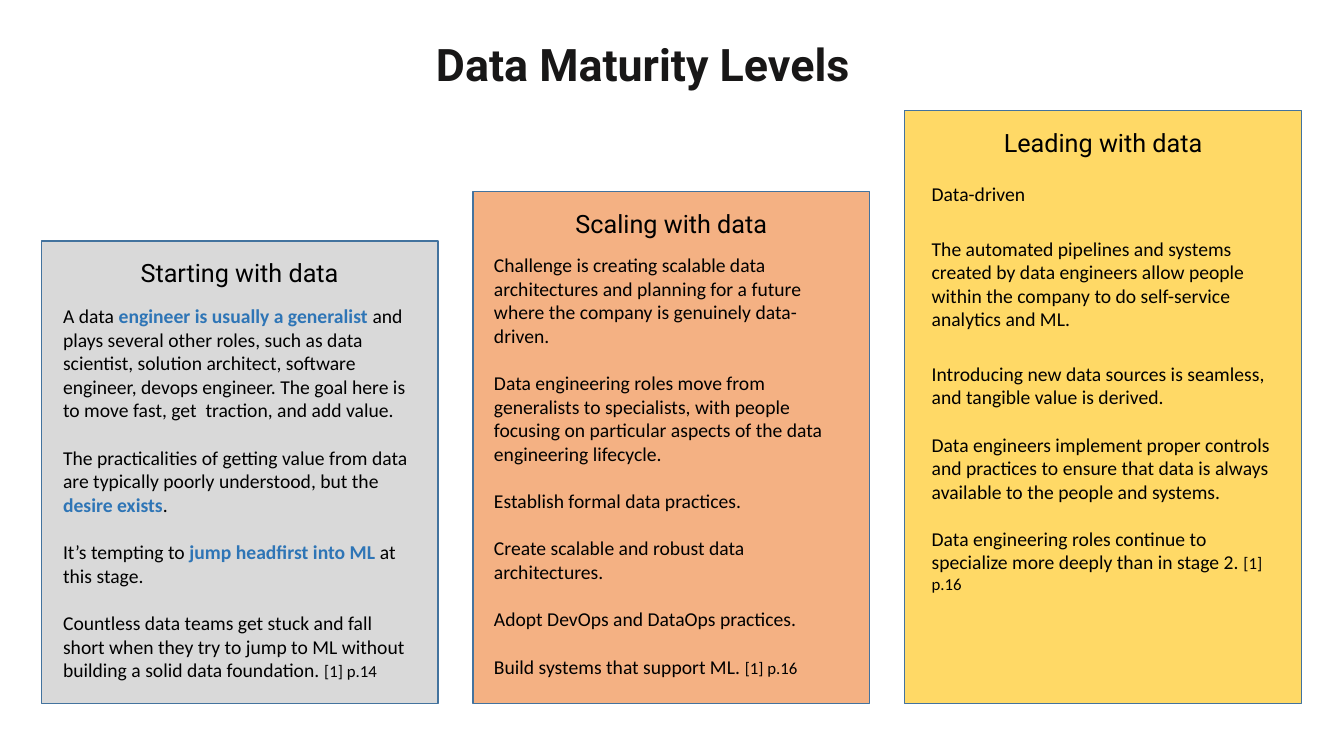
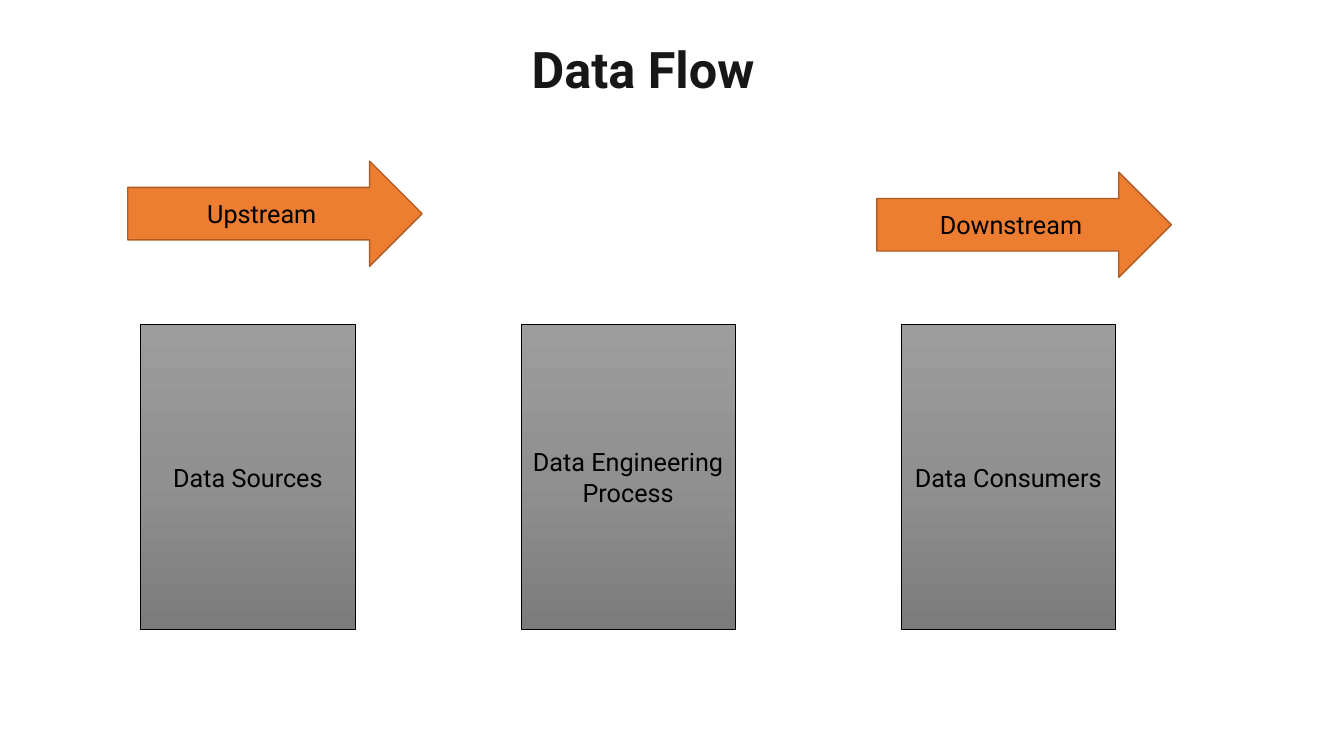
import copy

import pptx
import pptx.dml.color
import pptx.enum.shapes
import pptx.enum.text
import pptx.oxml.ns
import pptx.util

Cm = pptx.util.Cm
Pt = pptx.util.Pt
RGBColor = pptx.dml.color.RGBColor
Shape = pptx.enum.shapes.MSO_SHAPE
Anchor = pptx.enum.text.MSO_ANCHOR
Align = pptx.enum.text.PP_ALIGN

BLACK = RGBColor(0x00, 0x00, 0x00)
TITLE_INK = RGBColor(0x18, 0x17, 0x17)
HIGHLIGHT = RGBColor(0x2E, 0x75, 0xB6)
CARD_LINE = RGBColor(0x43, 0x73, 0x9E)
GREY = RGBColor(0xD9, 0xD9, 0xD9)
PEACH = RGBColor(0xF4, 0xB1, 0x83)
YELLOW = RGBColor(0xFF, 0xD9, 0x66)
ARROW_FILL = RGBColor(0xED, 0x7D, 0x31)
ARROW_LINE = RGBColor(0xAF, 0x5C, 0x24)
STAGE_GRADIENT = [
    (0, RGBColor(0x9D, 0x9D, 0x9D)),
    (0.5, RGBColor(0x90, 0x90, 0x90)),
    (1, RGBColor(0x7C, 0x7C, 0x7C)),
]
HEADING_FONT = "Roboto"
BODY_FONT = "Calibri"

# Kinds of body run: size, colour, bold
PLAIN = (14, BLACK, False)
STRONG = (14, HIGHLIGHT, True)
CITATION = (12, BLACK, False)

CARD_LEFT, CARD_STEP, CARD_WIDTH, CARD_BOTTOM = 1.04, 10.88, 10, 17.73
STAGE_LEFT, STAGE_STEP, STAGE_TOP = 3.55, 9.58, 8.18

# Each paragraph: space before in points, then its runs
STARTING = [
    (0, [("A data ", PLAIN), ("engineer is usually a generalist ", STRONG),
         ("and plays several other roles, such as data scientist, solution architect, "
          "software engineer, devops engineer. The goal here is to move fast, "
          "get  traction, and add value.", PLAIN)]),
    (17, [("The practicalities of getting value from data are typically poorly "
           "understood, but the ", PLAIN), ("desire exists", STRONG), (".", PLAIN)]),
    (17, [("It’s tempting to ", PLAIN), ("jump headfirst into ML ", STRONG),
          ("at this stage.", PLAIN)]),
    (17, [("Countless data teams get stuck and fall short when they try to jump to ML "
           "without building a solid data foundation. ", PLAIN),
          ("[1] p.14", CITATION)]),
]
SCALING = [
    (0, [("Challenge is creating scalable data architectures and planning for a future "
          "where the company is genuinely data-driven.", PLAIN)]),
    (17, [("Data engineering roles move from generalists to specialists, with people "
           "focusing on particular aspects of the data engineering lifecycle.", PLAIN)]),
    (17, [("Establish formal data practices.", PLAIN)]),
    (17, [("Create scalable and robust data architectures.", PLAIN)]),
    (17, [("Adopt DevOps and DataOps practices.", PLAIN)]),
    (17, [("Build systems that support ML. ", PLAIN), ("[1] p.16", CITATION)]),
]
LEADING = [
    (0, [("Data-driven", PLAIN)]),
    (22, [("The automated pipelines and systems created by data engineers allow people "
           "within the company to do self-service analytics and ML.", PLAIN)]),
    (22, [("Introducing new data sources is seamless, and tangible value is derived.",
           PLAIN)]),
    (17, [("Data engineers implement proper controls and practices to ensure that data "
           "is always available to the people and systems.", PLAIN)]),
    (17, [("Data engineering roles continue to specialize more deeply than in stage 2. ",
           PLAIN), ("[1] p.16", CITATION)]),
]
# Heading, fill, card top, body inset from the card's left and top, body text
CARDS = [
    ("Starting with data", GREY, 6.07, 0.3, 1.47, STARTING),
    ("Scaling with data", PEACH, 4.83, 0.28, 1.42, SCALING),
    ("Leading with data", YELLOW, 2.79, 0.43, 1.68, LEADING),
]
STAGES = ["Data Sources", "Data Engineering Process", "Data Consumers"]
ARROWS = [("Upstream", 3.22, 4.06), ("Downstream", 22.1, 4.34)]


def add_run(paragraph, text, font_name, size, color, bold=False):
    """Append one formatted run to a paragraph."""
    run = paragraph.add_run()
    run.text = text
    run.font.name = font_name
    run.font.size = Pt(size)
    run.font.color.rgb = color
    run.font.bold = bold


def add_text_box(slide, left, top, width, height, anchor=Anchor.TOP):
    """Add a wrapping text box, in centimetres, and return its text frame."""
    box = slide.shapes.add_textbox(Cm(left), Cm(top), Cm(width), Cm(height))
    box.text_frame.word_wrap = True
    box.text_frame.vertical_anchor = anchor
    return box.text_frame


def add_outlined_shape(slide, kind, left, top, width, height, line_color, line_width):
    """Add a shadowless preset shape, in centimetres, with a given outline."""
    shape = slide.shapes.add_shape(kind, Cm(left), Cm(top), Cm(width), Cm(height))
    shape.shadow.inherit = False
    shape.line.color.rgb = line_color
    shape.line.width = Pt(line_width)
    return shape


def add_label(text_frame, text):
    """Write a centred heading-style label into a text frame."""
    paragraph = text_frame.paragraphs[0]
    paragraph.alignment = Align.CENTER
    add_run(paragraph, text, HEADING_FONT, 18, BLACK)


def add_title(slide, text, top, size):
    """Add the bold centred slide title."""
    frame = add_text_box(slide, 2.4, top, 27.61, 1.88, Anchor.BOTTOM)
    paragraph = frame.paragraphs[0]
    paragraph.alignment = Align.CENTER
    paragraph.line_spacing = 0.9
    add_run(paragraph, text, HEADING_FONT, size, TITLE_INK, True)


def add_card(slide, left, top, heading, fill_color, inset, body_offset, body):
    """Add a maturity card that stands on the common bottom line."""
    card = add_outlined_shape(slide, Shape.RECTANGLE, left, top, CARD_WIDTH,
                              CARD_BOTTOM - top, CARD_LINE, 1)
    card.fill.solid()
    card.fill.fore_color.rgb = fill_color
    add_label(add_text_box(slide, left, top + 0.3, CARD_WIDTH, 1.02), heading)

    body_top = top + body_offset
    frame = add_text_box(slide, left + inset, body_top, CARD_WIDTH - inset - 0.3,
                         CARD_BOTTOM - body_top - 0.1)
    for index, (space_before, runs) in enumerate(body):
        paragraph = frame.add_paragraph() if index else frame.paragraphs[0]
        paragraph.space_before = Pt(space_before)
        for text, style in runs:
            add_run(paragraph, text, BODY_FONT, *style)


def add_stage(slide, left, top, text):
    """Add one gradient block of the data flow."""
    stage = add_outlined_shape(slide, Shape.RECTANGLE, left, top, 5.4, 7.68, BLACK, 0.5)
    stage.fill.gradient()
    stage.fill.gradient_angle = 270
    stop_list = stage._element.spPr.find(".//" + pptx.oxml.ns.qn("a:gsLst"))
    stop_list.insert(1, copy.deepcopy(stop_list[0]))
    for stop, (position, color) in zip(stage.fill.gradient_stops, STAGE_GRADIENT):
        stop.position = position
        stop.color.rgb = color
    stage.text_frame.word_wrap = True
    add_label(stage.text_frame, text)


def add_arrow(slide, left, top, text):
    """Add a labelled block arrow pointing right."""
    arrow = add_outlined_shape(slide, Shape.RIGHT_ARROW, left, top, 7.42, 2.65,
                               ARROW_LINE, 1)
    arrow.fill.solid()
    arrow.fill.fore_color.rgb = ARROW_FILL
    add_label(arrow.text_frame, text)


def build_maturity_slide(slide):
    """Build the three rising maturity cards."""
    add_title(slide, "Data Maturity Levels", 0.54, 32)
    for index, (heading, color, top, inset, body_offset, body) in enumerate(CARDS):
        add_card(slide, CARD_LEFT + index * CARD_STEP, top, heading, color,
                 inset, body_offset, body)


def build_flow_slide(slide):
    """Build the data flow stages with their direction arrows."""
    add_title(slide, "Data Flow", 0.74, 36)
    for index, text in enumerate(STAGES):
        add_stage(slide, STAGE_LEFT + index * STAGE_STEP, STAGE_TOP, text)
    for text, left, top in ARROWS:
        add_arrow(slide, left, top, text)


presentation = pptx.Presentation()
presentation.slide_width = Cm(33.87)
presentation.slide_height = Cm(19.05)
blank_layout = presentation.slide_layouts[6]
for build_slide in (build_maturity_slide, build_flow_slide):
    build_slide(presentation.slides.add_slide(blank_layout))
presentation.save("out.pptx")
